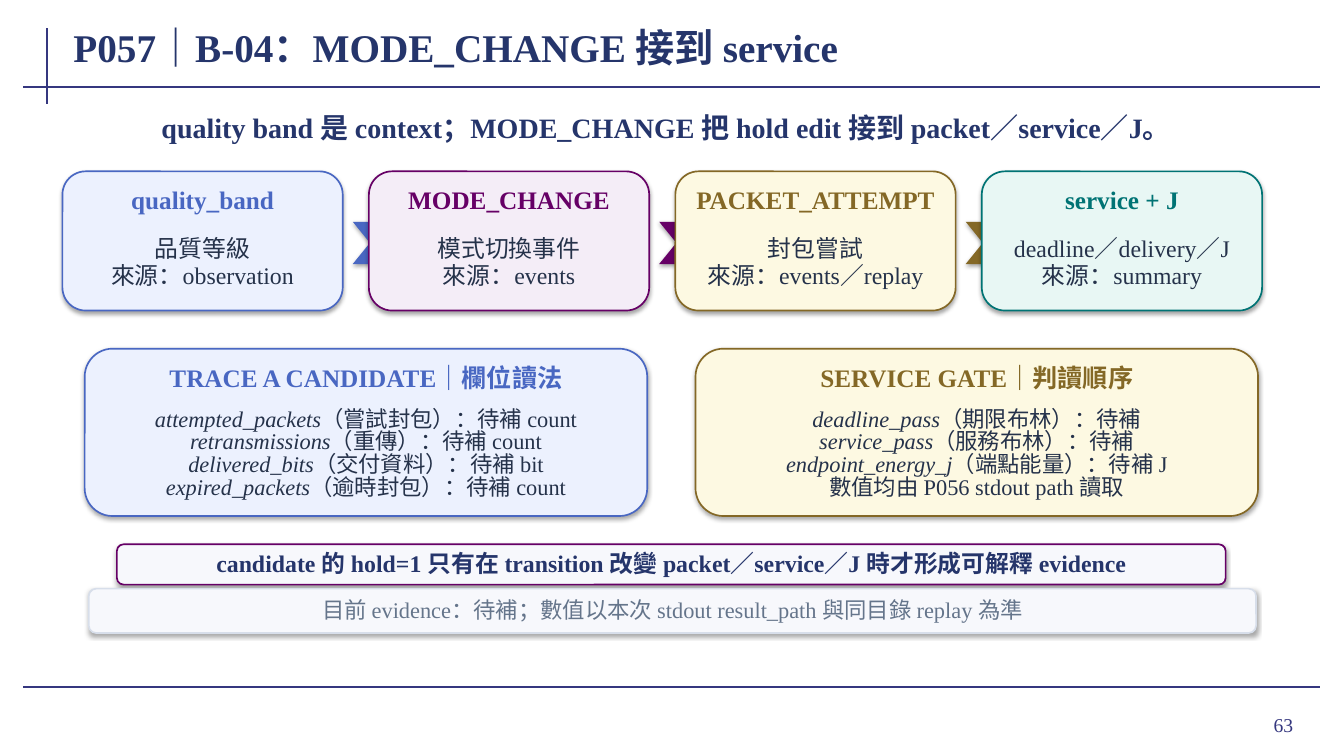
from dataclasses import dataclass

from lxml.etree import SubElement
from pptx import Presentation
from pptx.dml.color import RGBColor as RGB
from pptx.enum.shapes import MSO_CONNECTOR as Link, MSO_SHAPE as Form
from pptx.enum.text import MSO_ANCHOR as Anchor, MSO_AUTO_SIZE as Fit, PP_ALIGN as Align
from pptx.oxml.ns import qn
from pptx.util import Pt

TITLE = "P057｜B-04：MODE_CHANGE 接到 service"
LEAD = "quality band 是 context；MODE_CHANGE 把 hold edit 接到 packet／service／J。"
PAGE = "63"

# (tone, heading, lines); a pair is an italic field name and its reading
STEPS = [
    ("blue", "quality_band", ["品質等級", "來源：observation"]),
    ("plum", "MODE_CHANGE", ["模式切換事件", "來源：events"]),
    ("gold", "PACKET_ATTEMPT", ["封包嘗試", "來源：events／replay"]),
    ("teal", "service + J", ["deadline／delivery／J", "來源：summary"]),
]
PANELS = [
    ("blue", "TRACE A CANDIDATE｜欄位讀法", [
        ("attempted_packets", "（嘗試封包）：待補 count"),
        ("retransmissions", "（重傳）：待補 count"),
        ("delivered_bits", "（交付資料）：待補 bit"),
        ("expired_packets", "（逾時封包）：待補 count"),
    ]),
    ("gold", "SERVICE GATE｜判讀順序", [
        ("deadline_pass", "（期限布林）：待補"),
        ("service_pass", "（服務布林）：待補"),
        ("endpoint_energy_j", "（端點能量）：待補 J"),
        "數值均由 P056 stdout path 讀取",
    ]),
]
CLAIM = "candidate 的 hold=1 只有在 transition 改變 packet／service／J 時才形成可解釋 evidence"
STATUS = "目前 evidence：待補；數值以本次 stdout result_path 與同目錄 replay 為準"
RULES = [  # x1, y1, x2, y2
    (33.8, 20.2, 33.8, 74.2),
    (16.6, 61.9, 943.2, 61.9),
    (16.6, 491, 943.2, 491),
]


@dataclass(frozen=True)
class Theme:
    font: str = "Times New Roman"
    frame: str = "35377F"
    navy: str = "25356B"
    ink: str = "25324A"
    mute: str = "65758B"
    pale: str = "F7F8FC"
    edge: str = "D7DEEA"
    title: int = 28
    lead: int = 20
    head: int = 18
    step: int = 17
    panel: int = 16
    page: int = 14


THEME = Theme()
TONES = {  # line, fill
    "blue": ("4967C2", "ECF1FE"),
    "plum": ("660066", "F4EDF7"),
    "gold": ("846826", "FDF9E2"),
    "teal": ("007374", "E8F7F4"),
}

deck = Presentation()
deck.slide_width, deck.slide_height = Pt(960), Pt(540)
slide = deck.slides.add_slide(deck.slide_layouts[5])
shapes = slide.shapes


def points(*nums):
    return [Pt(n) for n in nums]


def write(frame, rows, size, color, bold=False, align=Align.CENTER, gap=None, pad=(0, 0)):
    """Fill a text frame; pad is the side and the top/bottom margin."""
    frame.word_wrap = True
    frame.vertical_anchor = Anchor.MIDDLE
    frame.margin_left = frame.margin_right = Pt(pad[0])
    frame.margin_top = frame.margin_bottom = Pt(pad[1])
    for i, row in enumerate(rows):
        para = frame.add_paragraph() if i else frame.paragraphs[0]
        para.alignment = align
        if gap:
            para.line_spacing = gap
        field, rest = row if isinstance(row, tuple) else ("", row)
        for text, slant in ((field, True), (rest, False)):
            if text:
                run = para.add_run()
                run.text = text
                font = run.font
                font.name, font.size = THEME.font, Pt(size)
                font.bold, font.italic = bold, slant
                font.color.rgb = RGB.from_string(color)


def label(box, rows, size, color, **style):
    frame = shapes.add_textbox(*points(*box)).text_frame
    write(frame, rows, size, color, **style)
    frame.auto_size = Fit.SHAPE_TO_FIT_TEXT


def block(form, box, fill, line=None):
    """Draw a filled shape that keeps the theme's soft shadow."""
    shape = shapes.add_shape(form, *points(*box))
    shape.fill.solid()
    shape.fill.fore_color.rgb = RGB.from_string(fill)
    if line:
        shape.line.color.rgb = RGB.from_string(line)
        shape.line.width = Pt(1.2)
    else:
        shape.line.fill.background()
    return shape


def card(box, tone, head, rows, size, gap):
    x, y, w, h = box
    line, fill = TONES[tone]
    block(Form.ROUNDED_RECTANGLE, box, fill, line)
    label((x + 11.5, y + 8.6, w - 23, 25.9), [head], THEME.head, line,
          bold=True, gap=0.92, pad=(1.44, 0))
    label((x + 13, y + 40.3, w - 26, h - 49), rows, size, THEME.ink,
          gap=gap, pad=(2.16, 1.44))


def bar(box, line, text, size, color, bold, gap):
    shape = block(Form.ROUNDED_RECTANGLE, box, THEME.pale, line)
    write(shape.text_frame, [text], size, color, bold=bold, gap=gap, pad=(2.16, 0.72))


for ends in RULES:
    rule = shapes.add_connector(Link.STRAIGHT, *points(*ends))
    rule.line.color.rgb = RGB.from_string(THEME.frame)
    rule.line.width = Pt(1.5)
    SubElement(rule._element.spPr, qn("a:effectLst"))

title = shapes.title
title.left, title.top, title.width, title.height = points(51.8, 14.4, 745.2, 38.2)
write(title.text_frame, [TITLE], THEME.title, THEME.navy, bold=True,
      align=Align.LEFT, pad=(0.72, 0))
title.text_frame.auto_size = Fit.NONE

page = shapes.add_textbox(*points(861.1, 499, 69.8, 37.4))
write(page.text_frame, [PAGE], THEME.page, THEME.frame, align=Align.RIGHT, pad=(7.2, 3.6))
label((67.7, 75.6, 816.5, 30.2), [LEAD], THEME.lead, THEME.navy, bold=True, pad=(1.44, 0))

STEP_W, STEP_GAP = 200.2, 18.7
for i, (tone, head, rows) in enumerate(STEPS):
    x = 44.6 + i * (STEP_W + STEP_GAP)
    card((x, 122.4, STEP_W, 99.4), tone, head, rows, THEME.step, 0.96)
    if i < len(STEPS) - 1:
        block(Form.CHEVRON, (x + STEP_W + 7.2, 158.4, 24.5, 30.2), TONES[tone][0])

PANEL_W, PANEL_GAP = 401.8, 34.5
for i, (tone, head, rows) in enumerate(PANELS):
    x = 60.5 + i * (PANEL_W + PANEL_GAP)
    card((x, 249.1, PANEL_W, 119.5), tone, head, rows, THEME.panel, 0.84)

bar((83.5, 388.8, 792, 28.8), TONES["plum"][0], CLAIM, THEME.step, THEME.navy, True, 0.92)
bar((63.4, 420.5, 833.8, 31.7), THEME.edge, STATUS, THEME.panel, THEME.mute, False, 0.9)

deck.save("out.pptx")
